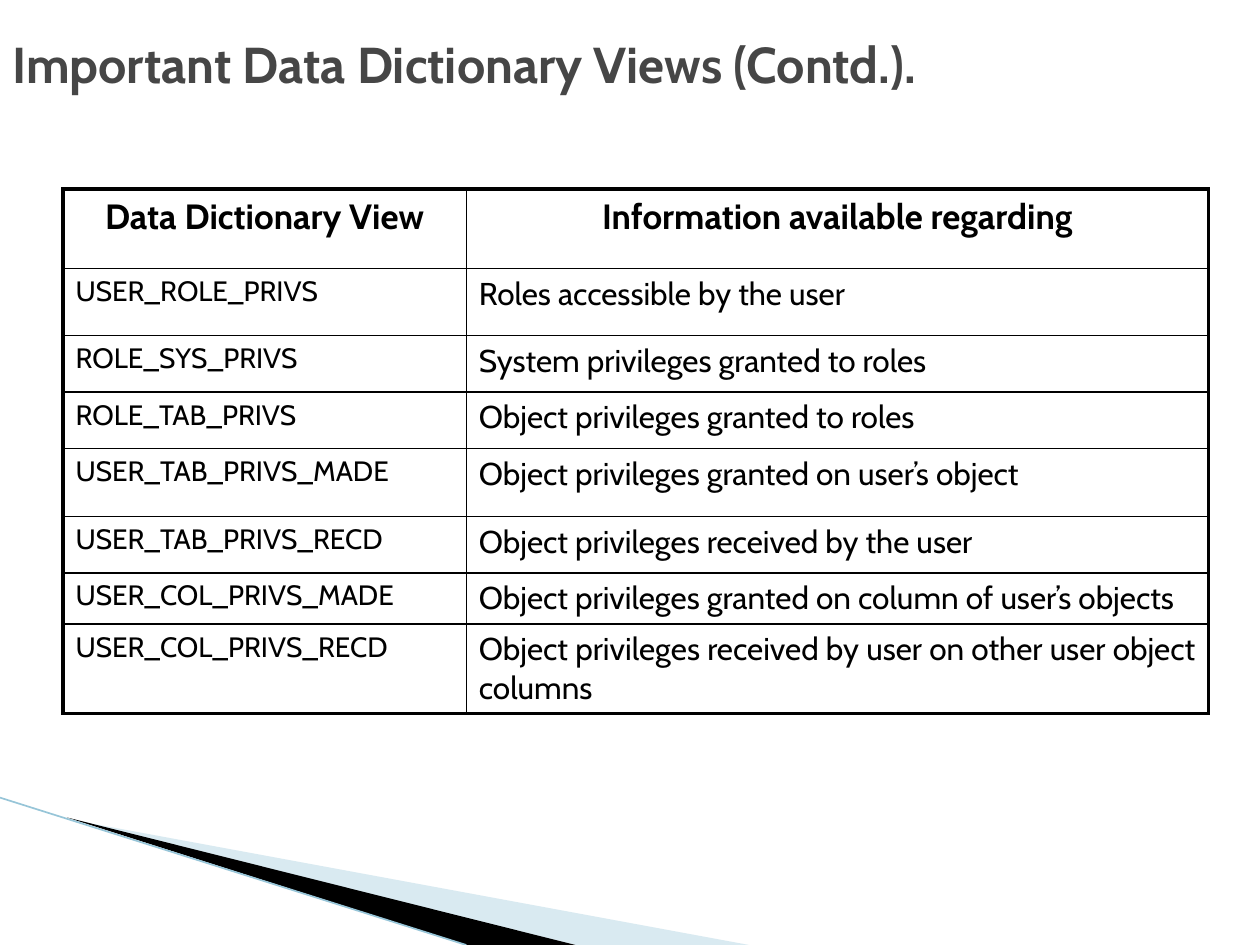
from lxml import etree
from pptx import Presentation
from pptx import util as u
from pptx.dml import color
from pptx.enum import shapes, text
from pptx.oxml import ns

FONT = "Cabin"
HUES = {"ink": "000000", "title": "464646", "pale": "A0CBDC", "edge": "97C5D8"}
WIDTHS = [8.13, 14.96]
HEIGHTS = [1.6, 1.35, 1.14, 1.14, 1.37, 1.14, 1.02, 1.8]
THICK, THIN = 2.25, 1
HEAD = ("Data Dictionary View", "Information available regarding")
VIEWS = [
    ("USER_ROLE_PRIVS", "Roles accessible by the user"),
    ("ROLE_SYS_PRIVS", "System privileges granted to roles"),
    ("ROLE_TAB_PRIVS", "Object privileges granted to roles"),
    ("USER_TAB_PRIVS_MADE", "Object privileges granted on user’s object"),
    ("USER_TAB_PRIVS_RECD", "Object privileges received by the user"),
    ("USER_COL_PRIVS_MADE", "Object privileges granted on column of user’s objects"),
    ("USER_COL_PRIVS_RECD", "Object privileges received by user on other user object columns"),
]


def rgb(name):
    return color.RGBColor.from_string(HUES[name])


def add_run(para, words, size, hue, bold=False):
    run = para.add_run()
    run.text = words
    run.font.name = FONT
    run.font.size = u.Pt(size)
    run.font.bold = bold
    run.font.color.rgb = rgb(hue)


def add_wedge(slide, points, hue, alpha=None):
    spots = [(u.Cm(x), u.Cm(y)) for x, y in points]
    pen = slide.shapes.build_freeform(*spots[0])
    pen.add_line_segments(spots[1:], close=True)
    wedge = pen.convert_to_shape()
    wedge.shadow.inherit = False
    wedge.line.fill.background()
    wedge.fill.solid()
    wedge.fill.fore_color.rgb = rgb(hue)
    if alpha:
        tint = wedge.fill._xPr.find(".//" + ns.qn("a:srgbClr"))
        etree.SubElement(tint, ns.qn("a:alpha"), val=str(alpha * 1000))


def add_edge(slide, start, end):
    ends = [u.Cm(n) for n in start + end]
    edge = slide.shapes.add_connector(shapes.MSO_CONNECTOR.STRAIGHT, *ends)
    edge.line.color.rgb = rgb("edge")
    edge.line.width = u.Pt(0.95)
    etree.SubElement(edge._element.spPr, ns.qn("a:effectLst"))


def add_title(slide, words):
    box = slide.shapes.add_textbox(0, 0, u.Cm(21), u.Cm(2.54))
    frame = box.text_frame
    frame.word_wrap = True
    frame.vertical_anchor = text.MSO_ANCHOR.MIDDLE
    add_run(frame.paragraphs[0], words, 28.8, "title", True)


def set_sides(cell, widths):
    props = cell._tc.get_or_add_tcPr()
    for side, width in widths.items():
        line = etree.SubElement(props, ns.qn("a:ln" + side), w=str(u.Pt(width)))
        fill = etree.SubElement(line, ns.qn("a:solidFill"))
        etree.SubElement(fill, ns.qn("a:srgbClr"), val=HUES["ink"])


def add_grid(slide, rows):
    deep, wide = len(rows), len(WIDTHS)
    grid = slide.shapes.add_table(
        deep, wide, u.Cm(1.27), u.Cm(3.81), u.Cm(sum(WIDTHS)), u.Cm(sum(HEIGHTS))
    ).table
    grid.horz_banding = False
    for col, width in zip(grid.columns, WIDTHS):
        col.width = u.Cm(width)
    for row, height in zip(grid.rows, HEIGHTS):
        row.height = u.Cm(height)
    for r, row in enumerate(rows):
        for c, words in enumerate(row):
            cell = grid.cell(r, c)
            para = cell.text_frame.paragraphs[0]
            top = r == 0
            para.alignment = text.PP_ALIGN.CENTER if top else text.PP_ALIGN.JUSTIFY
            add_run(para, words, 20 if top else (16, 18)[c], "ink", top)
            outer = {"L": c == 0, "R": c == wide - 1, "T": top, "B": r == deep - 1}
            set_sides(cell, {side: THICK if out else THIN for side, out in outer.items()})
            cell.fill.background()


def main():
    deck = Presentation()
    deck.slide_width, deck.slide_height = u.Cm(25.4), u.Cm(19.05)
    slide = deck.slides.add_slide(deck.slide_layouts[6])
    add_wedge(slide, [(1.4, 16.52), (15.1, 19.05), (11.6, 19.05)], "pale", 40)
    add_wedge(slide, [(1.35, 16.48), (11.6, 19.05), (9.4, 19.05)], "ink")
    add_edge(slide, (0, 16.08), (9.4, 19.05))
    add_grid(slide, [HEAD] + VIEWS)
    add_title(slide, "Important Data Dictionary Views (Contd.).")
    deck.save("out.pptx")


if __name__ == "__main__":
    main()
